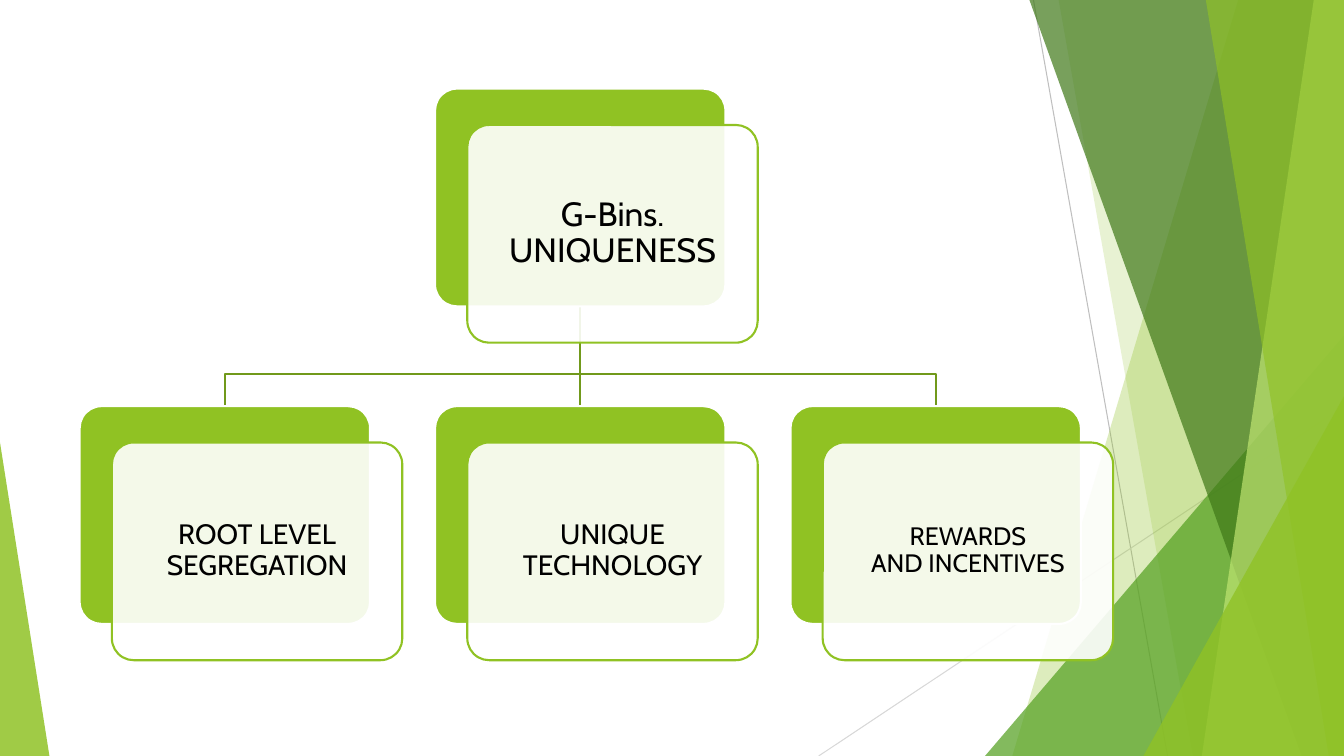
from dataclasses import dataclass

from lxml import etree
from pptx import Presentation
from pptx.dml.color import RGBColor
from pptx.enum.shapes import MSO_CONNECTOR, MSO_SHAPE
from pptx.enum.text import MSO_ANCHOR, PP_ALIGN
from pptx.oxml.ns import qn
from pptx.util import Inches, Pt

STRAIGHT = MSO_CONNECTOR.STRAIGHT
TRIANGLE = MSO_SHAPE.ISOSCELES_TRIANGLE
ROUNDED = MSO_SHAPE.ROUNDED_RECTANGLE
CENTER = PP_ALIGN.CENTER
MIDDLE = MSO_ANCHOR.MIDDLE


@dataclass(frozen=True)
class Theme:
    white: str = "FFFFFF"
    black: str = "000000"
    card: str = "90C223"
    branch: str = "71991B"
    lime: str = "90C226"
    green: str = "54A021"
    forest: str = "3F7818"
    pale: str = "BFE471"
    gray: str = "BFBFBF"
    light_gray: str = "D8D8D8"
    font: str = "Cabin"
    root_size: int = 24
    branch_size: int = 20
    small_size: int = 18


theme = Theme()


def style(shape, fill=None, alpha=100, line=None, weight=1.5):
    properties = shape._element.spPr
    if fill:
        shape.fill.solid()
        shape.fill.fore_color.rgb = RGBColor.from_string(fill)
        if alpha < 100:
            color = properties.find(qn("a:solidFill"))[0]
            etree.SubElement(color, qn("a:alpha")).set("val", str(alpha * 1000))
    elif hasattr(shape, "fill"):
        shape.fill.background()
    if line:
        shape.line.color.rgb = RGBColor.from_string(line)
        shape.line.width = Pt(weight)
    else:
        shape.line.fill.background()
    etree.SubElement(properties, qn("a:effectLst"))


def add_text(text, *, left, top, width, height, size, inset):
    box = slide.shapes.add_textbox(Inches(left), Inches(top), Inches(width), Inches(height))
    frame = box.text_frame
    frame.word_wrap = True
    frame.vertical_anchor = MIDDLE
    frame.margin_left = frame.margin_right = Inches(inset)
    frame.margin_top = frame.margin_bottom = Inches(inset)
    frame.text = text
    for paragraph in frame.paragraphs:
        paragraph.alignment = CENTER
        paragraph.line_spacing = 0.9
        paragraph.font.name = theme.font
        paragraph.font.size = Pt(size)
        paragraph.font.color.rgb = RGBColor.from_string(theme.black)


presentation = Presentation()
presentation.slide_width = Inches(13.33)
presentation.slide_height = Inches(7.5)
slide = presentation.slides.add_slide(presentation.slide_layouts[6])
right, bottom = 13.33, 7.5

for x1, y1, x2, y2, color in [
    (10.25, 0, 11.58, bottom, theme.gray),
    (right, 4.03, 8.12, bottom, theme.light_gray),
]:
    ray = slide.shapes.add_connector(STRAIGHT, Inches(x1), Inches(y1), Inches(x2), Inches(y2))
    style(ray, line=color, weight=0.75)

bands = [
    (12.28, 10.04, theme.lime, 30),
    (10.5, 11.83, theme.lime, 20),
    (9.77, 3.33, 3.56, 1, theme.green, 72),
    (10.21, 12.91, theme.forest, 70),
    (13.03, 11.92, theme.pale, 70),
    (11.96, 13.18, theme.lime, 65),
    (11.34, 3.93, 1.99, 1, theme.lime, 80),
    (0, 4.39, 0.49, 0, theme.lime, 85),
]
for *geometry, color, alpha in bands:
    if len(geometry) == 2:
        top_x, bottom_x = geometry
        builder = slide.shapes.build_freeform(Inches(top_x), 0)
        corners = [(right, 0), (right, bottom), (bottom_x, bottom)]
        builder.add_line_segments([(Inches(x), Inches(y)) for x, y in corners])
        band = builder.convert_to_shape()
    else:
        left, top, width, apex = geometry
        band = slide.shapes.add_shape(
            TRIANGLE, Inches(left), Inches(top), Inches(width), Inches(bottom - top)
        )
        band.adjustments[0] = apex
    style(band, fill=color, alpha=alpha)

card_width, card_height = 2.88, 2.16
columns = [0.79 + 3.525 * index for index in range(3)]
root_top, branch_top = 0.88, 4.03
root_bottom, fork = root_top + card_height, 3.71
left_x, root_x, right_x = [column + card_width / 2 for column in columns]

for end_x in (right_x, left_x):
    builder = slide.shapes.build_freeform(Inches(root_x), Inches(root_bottom))
    turns = [(root_x, fork), (end_x, fork), (end_x, branch_top)]
    builder.add_line_segments([(Inches(x), Inches(y)) for x, y in turns], close=False)
    style(builder.convert_to_shape(), line=theme.branch)
trunk = slide.shapes.add_connector(
    STRAIGHT, Inches(root_x), Inches(root_bottom), Inches(root_x), Inches(branch_top)
)
style(trunk, line=theme.branch)

cards = [
    ("G-Bins. UNIQUENESS", columns[1], root_top, theme.root_size, 0.1),
    ("ROOT LEVEL SEGREGATION", columns[0], branch_top, theme.branch_size, 0.08),
    ("UNIQUE TECHNOLOGY", columns[1], branch_top, theme.branch_size, 0.08),
    ("REWARDS\nAND INCENTIVES", columns[2], branch_top, theme.small_size, 0.07),
]
layers = [
    (0, 0, theme.card, 100, theme.white),
    (0.32, 0.36, theme.white, 90, theme.card),
]
for text, left, top, size, inset in cards:
    for shift_x, shift_y, fill, alpha, line in layers:
        card = slide.shapes.add_shape(
            ROUNDED, Inches(left + shift_x), Inches(top + shift_y),
            Inches(card_width), Inches(card_height),
        )
        card.adjustments[0] = 0.1
        style(card, fill=fill, alpha=alpha, line=line)
    add_text(text, left=left + 0.37, top=top + 0.42, width=2.78, height=2.03,
             size=size, inset=inset)

presentation.save("out.pptx")
